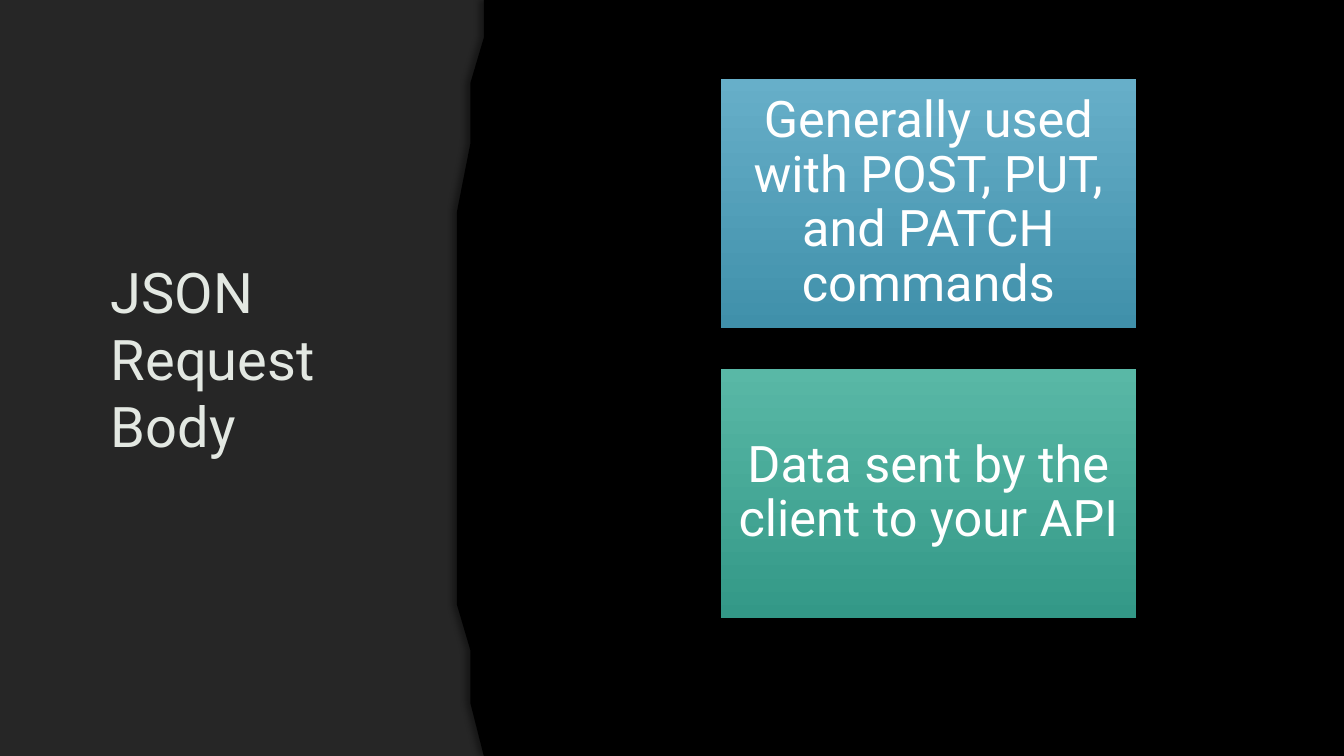
from dataclasses import dataclass

from lxml import etree
from pptx import Presentation
from pptx.dml.color import RGBColor
from pptx.enum.shapes import MSO_SHAPE
from pptx.enum.text import MSO_ANCHOR, MSO_AUTO_SIZE, PP_ALIGN
from pptx.oxml.ns import qn
from pptx.util import Inches, Length, Pt

RECTANGLE = MSO_SHAPE.RECTANGLE
MIDDLE = MSO_ANCHOR.MIDDLE
NO_AUTO_SIZE = MSO_AUTO_SIZE.NONE
LEFT, CENTER = PP_ALIGN.LEFT, PP_ALIGN.CENTER

BLACK = RGBColor(0x00, 0x00, 0x00)
CHARCOAL = RGBColor(0x26, 0x26, 0x26)
OUTLINE_GREY = RGBColor(0x40, 0x40, 0x40)
PALE_GREEN = RGBColor(0xE3, 0xE8, 0xE2)
WHITE = RGBColor(0xFF, 0xFF, 0xFF)
SKY, DEEP_SKY = RGBColor(0x67, 0xAF, 0xC9), RGBColor(0x40, 0x90, 0xAA)
MINT, DEEP_MINT = RGBColor(0x59, 0xB8, 0xA6), RGBColor(0x33, 0x98, 0x87)

FONT = "Roboto"
SLIDE_WIDTH, SLIDE_HEIGHT = Inches(13.33), Inches(7.5)
# The slide is a grid of 100 columns by 100 rows.
COLUMN, ROW = SLIDE_WIDTH / 100, SLIDE_HEIGHT / 100

# Curved left edge of the black panel, top to bottom, in columns and rows.
PANEL_EDGE = [
    (36.39, 0), (35.86, 5.07), (35.26, 11.07), (34.66, 18.93), (34.13, 28.4),
    (33.76, 37.33), (33.61, 45.2), (33.53, 53.33), (33.53, 59.73),
    (33.68, 66.27), (33.91, 72.8), (34.21, 79.6), (34.66, 86.4),
    (35.33, 93.2), (36.39, 100),
]


@dataclass(frozen=True)
class Area:
    """A rectangle in grid columns and rows."""
    left: float
    top: float
    width: float
    height: float

    def lengths(self) -> tuple[Length, ...]:
        return (Length(self.left * COLUMN), Length(self.top * ROW),
                Length(self.width * COLUMN), Length(self.height * ROW))


@dataclass(frozen=True)
class Shadow:
    opacity: int
    blur: float
    distance: float
    direction: int


@dataclass(frozen=True)
class Card:
    text: str
    upper: RGBColor
    lower: RGBColor


TITLE_AREA = Area(7.5, 8.93, 22.95, 76.93)
FIRST_CARD = Area(53.63, 10.4, 30.9, 32.93)
CARD_PITCH = 38.4
PANEL_SHADOW = Shadow(opacity=40, blur=4, distance=3, direction=180)
CARD_SHADOW = Shadow(opacity=60, blur=5, distance=2, direction=90)
CARDS = [
    Card("Generally used with POST, PUT, and PATCH commands", SKY, DEEP_SKY),
    Card("Data sent by the client to your API", MINT, DEEP_MINT),
]


def add_color(parent, color: RGBColor, opacity: int) -> None:
    node = etree.SubElement(parent, qn("a:srgbClr"), val=str(color))
    etree.SubElement(node, qn("a:alpha"), val=str(opacity * 1000))


def cast_shadow(shape, shadow: Shadow) -> None:
    shape.shadow.inherit = False
    effects = shape.element.spPr.find(qn("a:effectLst"))
    outer = etree.SubElement(
        effects, qn("a:outerShdw"), blurRad=str(Pt(shadow.blur)),
        dist=str(Pt(shadow.distance)), dir=str(shadow.direction * 60000),
        rotWithShape="0")
    add_color(outer, BLACK, shadow.opacity)


def write_text(shape, text: str, *, size: float, color: RGBColor,
               align=LEFT, spacing: float = 1.0, margin: float | None = None):
    """Fill the shape with one paragraph and return its only run."""
    frame = shape.text_frame
    frame.word_wrap = True
    frame.auto_size = NO_AUTO_SIZE
    frame.vertical_anchor = MIDDLE
    if margin is not None:
        frame.margin_left = frame.margin_right = Inches(margin)
        frame.margin_top = frame.margin_bottom = Inches(margin)
    para = frame.paragraphs[0]
    para.alignment = align
    para.line_spacing = spacing
    span = para.add_run()
    span.text = text
    span.font.name = FONT
    span.font.size = Pt(size)
    span.font.color.rgb = color
    return span


def draw_backdrop(page) -> None:
    page.background.fill.solid()
    page.background.fill.fore_color.rgb = BLACK
    backdrop = page.shapes.add_shape(RECTANGLE, *Area(0, 0, 100, 100).lengths())
    backdrop.shadow.inherit = False
    backdrop.fill.solid()
    backdrop.fill.fore_color.rgb = CHARCOAL
    backdrop.line.fill.background()


def draw_panel(page) -> None:
    builder = page.shapes.build_freeform(100, 0, scale=(COLUMN, ROW))
    builder.add_line_segments([*PANEL_EDGE, (100, 100)], close=True)
    panel = builder.convert_to_shape()
    panel.fill.solid()
    panel.fill.fore_color.rgb = BLACK
    panel.line.fill.background()
    cast_shadow(panel, PANEL_SHADOW)


def draw_title(page, text: str) -> None:
    title = page.shapes.title
    title.left, title.top, title.width, title.height = TITLE_AREA.lengths()
    span = write_text(title, text, size=40, color=PALE_GREEN)
    outline = etree.Element(qn("a:ln"), w=str(Pt(0.75)))
    add_color(etree.SubElement(outline, qn("a:solidFill")), OUTLINE_GREY, 10)
    span.font.fill.solid()
    span.font.fill.fore_color.rgb = PALE_GREEN
    span._r.get_or_add_rPr().insert(0, outline)
    # Bring the placeholder in front of the backdrop.
    title.element.getparent().append(title.element)


def draw_card(page, card: Card, area: Area) -> None:
    box = page.shapes.add_shape(RECTANGLE, *area.lengths())
    box.fill.gradient()
    box.fill.gradient_angle = 270
    for stop, color in zip(box.fill.gradient_stops, (card.upper, card.lower)):
        stop.color.rgb = color
    box.line.fill.background()
    cast_shadow(box, CARD_SHADOW)
    write_text(box, card.text, size=36, color=WHITE, align=CENTER,
               spacing=0.9, margin=0.15)


def main() -> None:
    deck = Presentation()
    deck.slide_width, deck.slide_height = SLIDE_WIDTH, SLIDE_HEIGHT
    title_only = deck.slide_layouts[5]
    page = deck.slides.add_slide(title_only)
    draw_backdrop(page)
    draw_panel(page)
    draw_title(page, "JSON Request Body")
    for index, card in enumerate(CARDS):
        area = Area(FIRST_CARD.left, FIRST_CARD.top + index * CARD_PITCH,
                    FIRST_CARD.width, FIRST_CARD.height)
        draw_card(page, card, area)
    deck.save("out.pptx")


if __name__ == "__main__":
    main()
